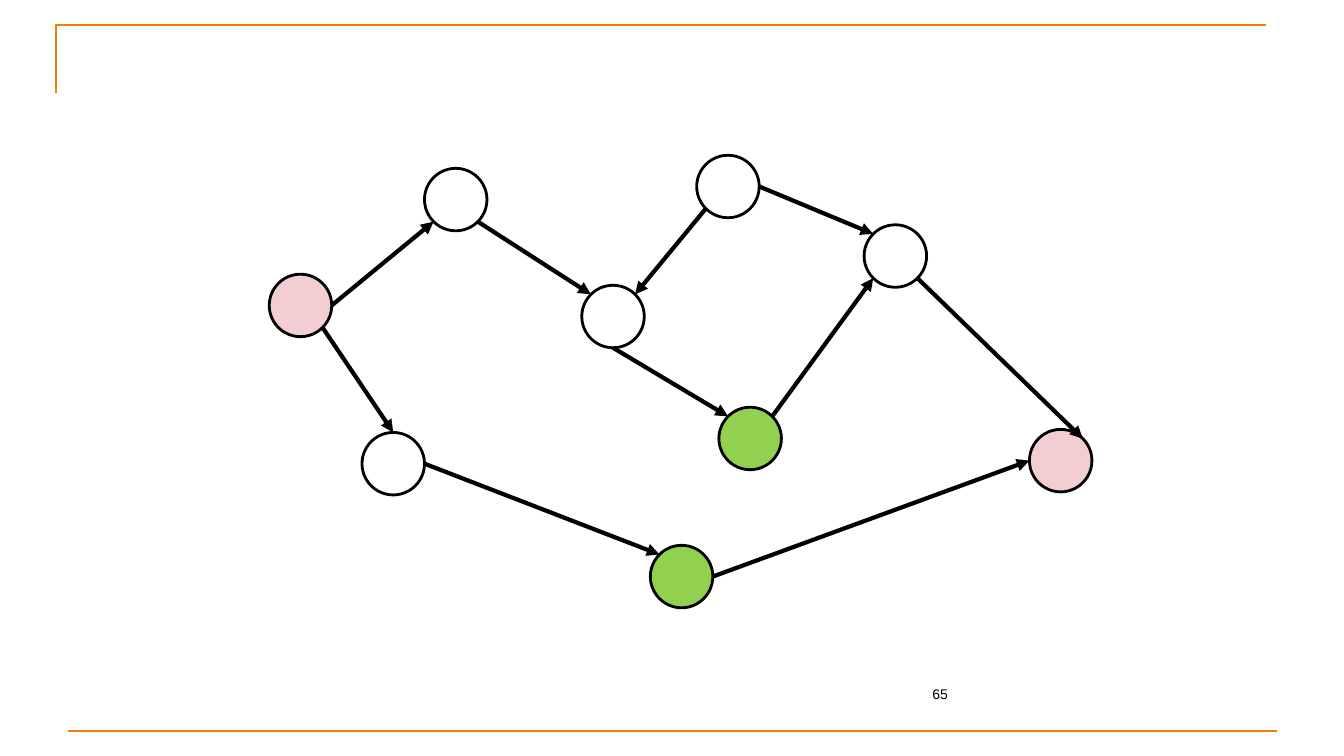
import math

import pptx
import pptx.dml.color
import pptx.enum.shapes
import pptx.enum.text
import pptx.oxml
import pptx.oxml.ns
import pptx.util
from pptx.util import Inches

RGBColor = pptx.dml.color.RGBColor
ORANGE = RGBColor(0xF0, 0x7F, 0x09)
BLACK = RGBColor(0, 0, 0)
WHITE = RGBColor(0xFF, 0xFF, 0xFF)
GREEN = RGBColor(0x92, 0xD0, 0x50)
PINK = RGBColor(0xF2, 0xCE, 0xD2)
SIZE = 0.62

NODES = {
    "start": (2.67, 2.72, PINK),
    "upper": (4.21, 1.67, WHITE),
    "lower": (3.59, 4.29, WHITE),
    "middle": (5.77, 2.83, WHITE),
    "top": (6.91, 1.54, WHITE),
    "inner": (7.13, 4.04, GREEN),
    "outer": (6.45, 5.41, GREEN),
    "right": (8.57, 2.23, WHITE),
    "end": (10.21, 4.26, PINK),
}
ANGLES = {"E": 0, "SE": 45, "S": 90, "SW": 135, "W": 180, "NW": 225, "N": 270, "NE": 315}
EDGES = [
    ("start", "E", "upper", "SW"),
    ("start", "SE", "lower", "N"),
    ("upper", "SE", "middle", "NW"),
    ("top", "SW", "middle", "NE"),
    ("top", "E", "right", "NW"),
    ("middle", "S", "inner", "NW"),
    ("inner", "NE", "right", "SW"),
    ("right", "SE", "end", "NE"),
    ("lower", "E", "outer", "NW"),
    ("outer", "E", "end", "W"),
]


def style(line, color, width):
    """Set the colour and width of a line."""
    line.color.rgb = color
    line.width = pptx.util.Pt(width)


def add_node(slide, left, top, color):
    """Draw one round node."""
    oval = pptx.enum.shapes.MSO_SHAPE.OVAL
    node = slide.shapes.add_shape(oval, Inches(left), Inches(top), Inches(SIZE), Inches(SIZE))
    node.shadow.inherit = False
    node.fill.solid()
    node.fill.fore_color.rgb = color
    style(node.line, BLACK, 2)


def find_site(name, side):
    """Return the point on a node's rim that faces a compass side."""
    left, top, _ = NODES[name]
    angle = math.radians(ANGLES[side])
    radius = SIZE / 2
    return left + radius * (1 + math.cos(angle)), top + radius * (1 + math.sin(angle))


def add_line(slide, start, end, color, width, arrow=False):
    """Draw a straight line, with an arrowhead at its end if asked."""
    kind = pptx.enum.shapes.MSO_CONNECTOR.STRAIGHT
    line = slide.shapes.add_connector(kind, *map(Inches, start + end))
    style(line.line, color, width)
    if arrow:
        head = pptx.oxml.parse_xml(
            f'<a:tailEnd {pptx.oxml.ns.nsdecls("a")} type="triangle"/>')
        line.line._get_or_add_ln().append(head)
    line._element.spPr.append(
        pptx.oxml.parse_xml(f'<a:effectLst {pptx.oxml.ns.nsdecls("a")}/>'))


def add_frame(slide):
    """Draw the corner rule at the top and the rule at the bottom."""
    build = slide.shapes.build_freeform(Inches(0.56), Inches(0.92))
    build.add_line_segments(
        [(Inches(0.56), Inches(0.25)), (Inches(12.56), Inches(0.25))], close=False)
    corner = build.convert_to_shape()
    corner.shadow.inherit = False
    corner.fill.background()
    style(corner.line, ORANGE, 1.5)
    add_line(slide, (0.67, 7.25), (12.67, 7.25), ORANGE, 1.5)


def add_number(slide, text):
    """Write the page number."""
    box = slide.shapes.add_textbox(Inches(9.03), Inches(6.68), Inches(0.47), Inches(0.4))
    frame = box.text_frame
    frame.word_wrap = True
    frame.vertical_anchor = pptx.enum.text.MSO_ANCHOR.MIDDLE
    para = frame.paragraphs[0]
    para.alignment = pptx.enum.text.PP_ALIGN.RIGHT
    run = para.add_run()
    run.text = text
    run.font.name = "Arial"
    run.font.size = pptx.util.Pt(10)
    run.font.color.rgb = BLACK


def main():
    """Build the graph slide and save it."""
    deck = pptx.Presentation()
    deck.slide_width = Inches(13.33)
    deck.slide_height = Inches(7.5)
    slide = deck.slides.add_slide(deck.slide_layouts[6])
    add_frame(slide)
    add_number(slide, "65")
    for left, top, color in NODES.values():
        add_node(slide, left, top, color)
    for source, exit_side, target, entry in EDGES:
        add_line(slide, find_site(source, exit_side), find_site(target, entry), BLACK, 3, True)
    deck.save("out.pptx")


if __name__ == "__main__":
    main()
